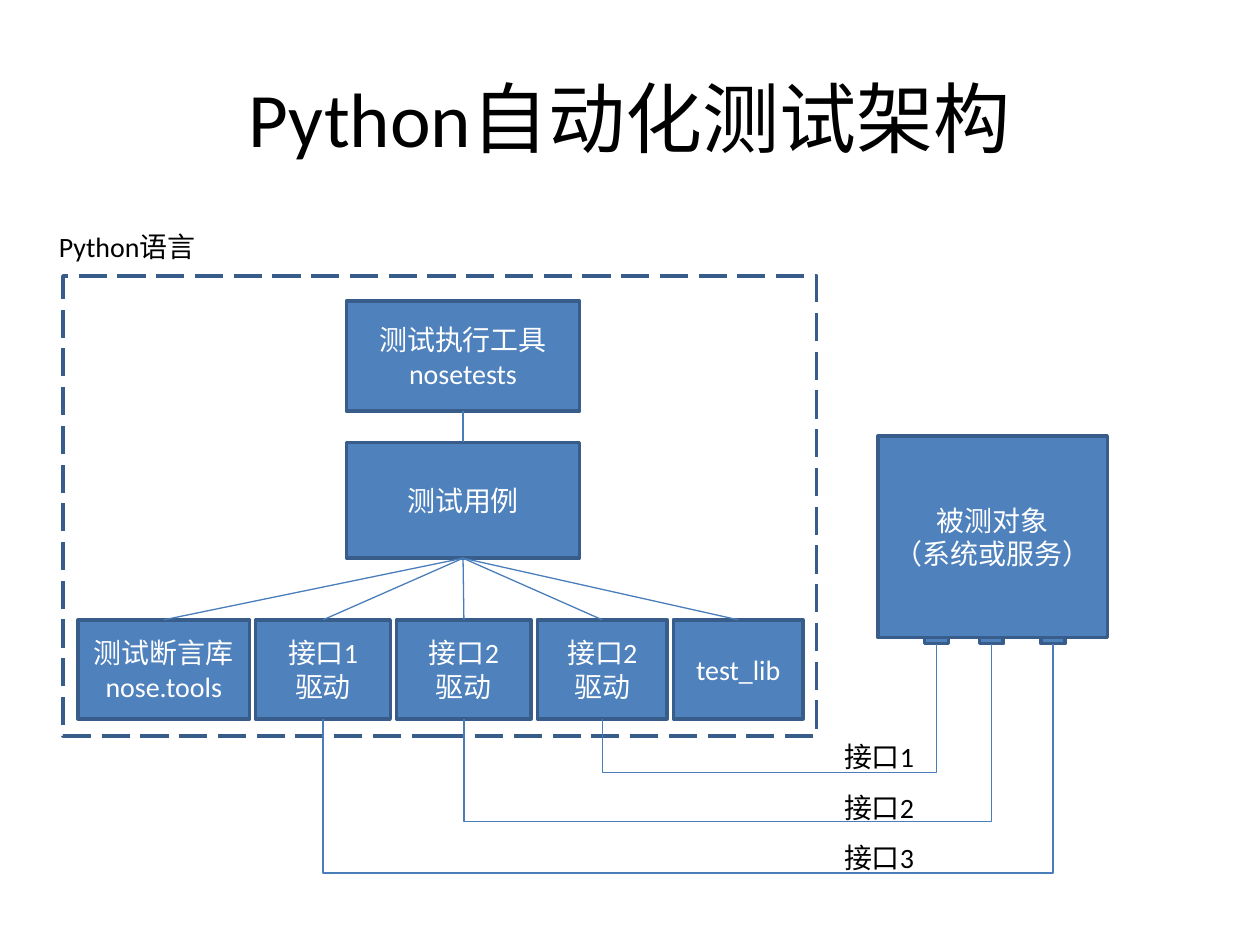
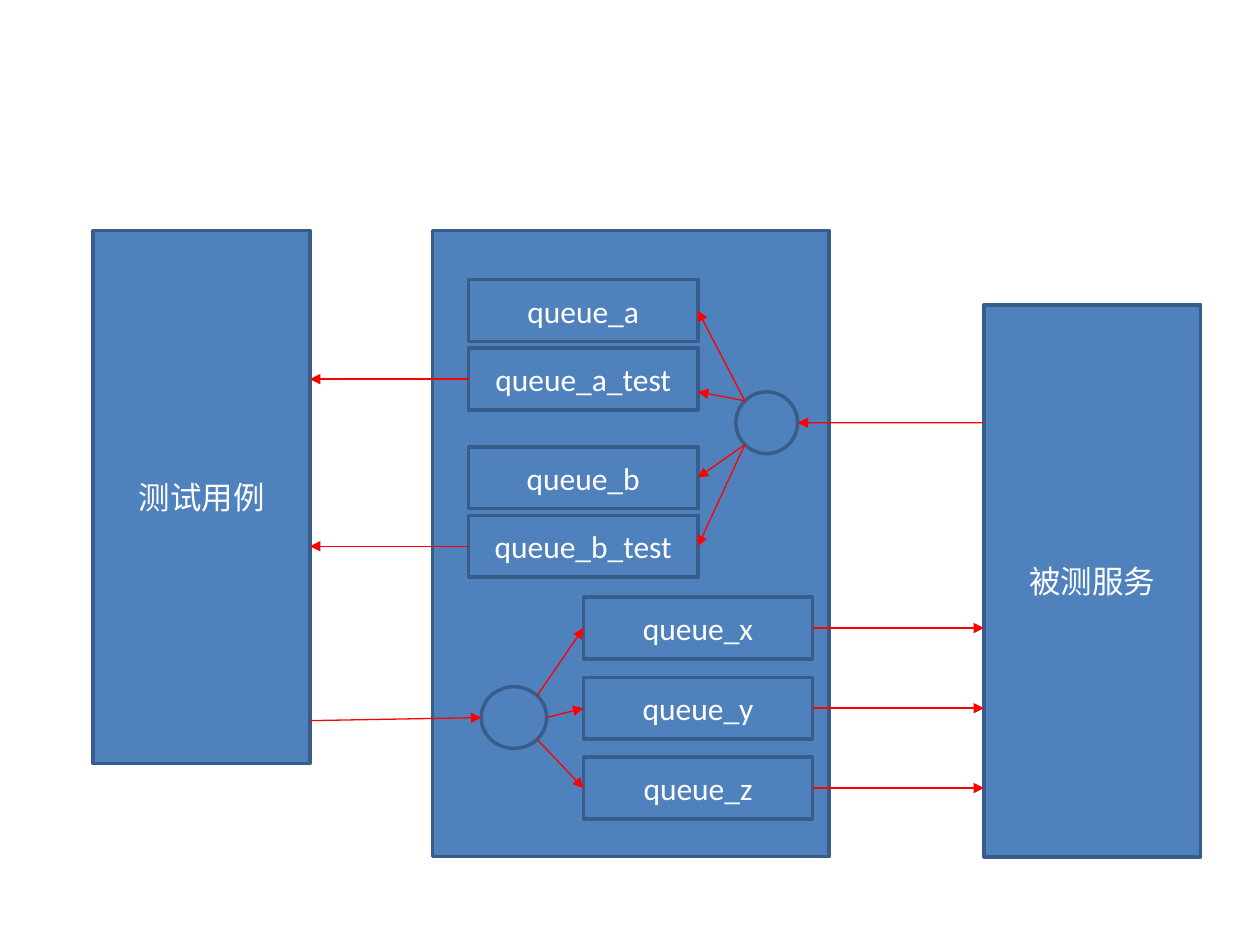
from lxml.etree import SubElement
from pptx import Presentation
from pptx.dml.color import RGBColor
from pptx.enum.dml import MSO_LINE
from pptx.enum.shapes import MSO_CONNECTOR as Connector, MSO_SHAPE as Preset
from pptx.enum.text import MSO_ANCHOR as Anchor, PP_ALIGN as Align
from pptx.oxml.ns import qn
from pptx.util import Pt

BLUE = RGBColor(0x4F, 0x81, 0xBD)
OUTLINE = RGBColor(0x38, 0x5D, 0x8A)
LINK = RGBColor(0x4A, 0x7E, 0xBB)
RED = RGBColor(0xFF, 0x00, 0x00)
WHITE = RGBColor(0xFF, 0xFF, 0xFF)
BLACK = RGBColor(0x00, 0x00, 0x00)
FONT = "Calibri"

# Connection sites, numbered as the preset shapes number them
TOP, LEFT, BOTTOM, RIGHT = range(4)
OVAL_UPPER_LEFT, OVAL_LEFT, OVAL_LOWER_LEFT = 1, 2, 3
OVAL_LOWER_RIGHT, OVAL_RIGHT, OVAL_UPPER_RIGHT = 5, 6, 7
DIAGONAL = 0.71
RECTANGLE_SITES = [(0, -1), (-1, 0), (0, 1), (1, 0)]
OVAL_SITES = [(0, -1), (-DIAGONAL, -DIAGONAL), (-1, 0), (-DIAGONAL, DIAGONAL),
              (0, 1), (DIAGONAL, DIAGONAL), (1, 0), (DIAGONAL, -DIAGONAL)]


def locate(end):
    """Return the position of an end: an (x, y) in points or a (shape, site)."""
    first, second = end
    if isinstance(first, (int, float)):
        return Pt(first), Pt(second)
    is_oval = first.auto_shape_type == Preset.OVAL
    across, down = (OVAL_SITES if is_oval else RECTANGLE_SITES)[second]
    return (int(first.left + first.width * (1 + across) / 2),
            int(first.top + first.height * (1 + down) / 2))


class Painter:
    def __init__(self, presentation):
        self.presentation = presentation
        self.slide = None

    def new_slide(self, text_size):
        blank = self.presentation.slide_layouts[6]
        self.slide = self.presentation.slides.add_slide(blank)
        self.text_size = text_size

    def set_text(self, shape, text, color, size=None, align=Align.LEFT,
                 spacing=None):
        frame = shape.text_frame
        frame.text = text
        for paragraph in frame.paragraphs:
            paragraph.alignment = align
            paragraph.line_spacing = spacing
            for run in paragraph.runs:
                run.font.name = FONT
                run.font.size = Pt(size or self.text_size)
                run.font.color.rgb = color

    def label(self, text, left, top, width, height, wrap=True,
              anchor=Anchor.TOP, **style):
        box = self.slide.shapes.add_textbox(Pt(left), Pt(top), Pt(width), Pt(height))
        box.text_frame.word_wrap = wrap
        box.text_frame.vertical_anchor = anchor
        self.set_text(box, text, BLACK, **style)

    def box(self, left, top, width, height, text="", preset=Preset.RECTANGLE,
            fill=BLUE):
        shape = self.slide.shapes.add_shape(
            preset, Pt(left), Pt(top), Pt(width), Pt(height))
        shape.shadow.inherit = False
        if fill is None:
            shape.fill.background()
        else:
            shape.fill.solid()
            shape.fill.fore_color.rgb = fill
        shape.line.color.rgb = OUTLINE
        shape.line.width = Pt(2)
        if text:
            shape.text_frame.vertical_anchor = Anchor.MIDDLE
            self.set_text(shape, text, WHITE, align=Align.CENTER)
        return shape

    def connector(self, kind, begin, end, start, finish, color):
        """Draw from begin to end, attached to start and finish if they are shapes."""
        line = self.slide.shapes.add_connector(kind, *begin, *end)
        line.line.color.rgb = color
        line.line.width = Pt(0.75)
        SubElement(line._element.spPr, qn("a:effectLst"))
        joints = line._element.nvCxnSpPr.cNvCxnSpPr
        for tag, (shape, site) in (("a:stCxn", start), ("a:endCxn", finish)):
            if not isinstance(shape, (int, float)):
                SubElement(joints, qn(tag), id=str(shape.shape_id), idx=str(site))
        return line

    def link(self, start, finish, color=LINK):
        return self.connector(Connector.STRAIGHT, locate(start), locate(finish),
                              start, finish, color)

    def arrow(self, start, finish):
        line = self.link(start, finish, RED)
        outline = line._element.spPr.find(qn("a:ln"))
        SubElement(outline, qn("a:tailEnd"), type="triangle")

    def cable(self, source, port, level):
        """Run from under source down to level, across, and up to the port."""
        start, finish = (source, BOTTOM), (port, BOTTOM)
        (x1, y1), (x2, y2) = locate(start), locate(finish)
        rise, reach = y1 - y2, x2 - x1
        middle_x, middle_y = (x1 + x2) // 2, (y1 + y2) // 2
        # The box is laid out on its side, then turned a quarter
        begin = middle_x + rise // 2, middle_y + reach // 2
        end = middle_x - rise // 2, middle_y - reach // 2
        line = self.connector(Connector.ELBOW, begin, end, start, finish, LINK)
        line.rotation = 90
        bend = round((y1 - Pt(level)) / rise * 100000)
        geometry = line._element.spPr.find(qn("a:prstGeom"))
        adjustments = geometry.find(qn("a:avLst"))
        if adjustments is None:
            adjustments = SubElement(geometry, qn("a:avLst"))
        SubElement(adjustments, qn("a:gd"), name="adj1", fmla=f"val {bend}")


def draw_architecture(painter):
    painter.new_slide(text_size=16)
    frame = painter.box(36, 157.7, 430.6, 262.8, fill=None)
    frame.line.dash_style = MSO_LINE.LONG_DASH
    painter.label("Python自动化测试架构", 36, 21.6, 648, 90, size=44,
                  anchor=Anchor.MIDDLE, align=Align.CENTER)
    painter.label("Python语言", 26.6, 127.4, 105.1, 26.6)

    runner = painter.box(198, 172, 133.2, 63, "测试执行工具\nnosetests")
    cases = painter.box(198, 252.8, 133.2, 66.2, "测试用例")
    painter.link((runner, BOTTOM), (cases, TOP))

    libraries = []
    left = 44.6
    for text, width in (("测试断言库\nnose.tools", 98), ("接口1\n驱动", 77),
                        ("接口2\n驱动", 77), ("接口2\n驱动", 74.2),
                        ("test_lib", 74.2)):
        libraries.append(painter.box(left, 354.2, width, 56.6, text))
        left += width + 3.5
    for library in libraries:
        painter.link((cases, BOTTOM), (library, TOP))

    ports = [painter.box(x, 336.2, 13.7, 31.7) for x in (528.3, 559.6, 594.9)]
    drivers = reversed(libraries[1:4])
    for driver, port, level in zip(drivers, ports, (441.4, 469.4, 499)):
        painter.cable(driver, port, level)
    painter.label("接口1\n接口2\n接口3", 475.2, 409.7, 58.3, 93.6,
                  wrap=False, spacing=1.5)
    painter.box(501.8, 249.1, 131, 115.2, "被测对象\n（系统或服务）")


def draw_queues(painter):
    painter.new_slide(text_size=18)
    painter.box(247, 131.8, 226.8, 357.8)
    service = painter.box(562.3, 174.2, 123.8, 315.4, "被测服务")
    cases = painter.box(53.3, 131.8, 123.8, 304.6, "测试用例")
    service_left = service.left.pt
    cases_right = cases.left.pt + cases.width.pt
    queue_size = 131, 35.3

    upper_hub = painter.box(420.5, 223.9, 35.3, 35.3, preset=Preset.OVAL)
    painter.arrow((service_left, 241.6), (upper_hub, OVAL_RIGHT))
    for index, (name, site) in enumerate((("queue_a", OVAL_UPPER_LEFT),
                                          ("queue_b", OVAL_LOWER_LEFT))):
        top = 159.8 + 95.5 * index
        queue = painter.box(267.8, top, *queue_size, name)
        test_queue = painter.box(267.8, top + 39.2, *queue_size, name + "_test")
        painter.arrow((upper_hub, site), (queue, RIGHT))
        # The first test queue is entered below its middle
        entry = (test_queue, RIGHT) if index else (398.8, 223.9)
        painter.arrow((upper_hub, site), entry)
        middle = locate((test_queue, LEFT))[1] / Pt(1)
        painter.arrow((test_queue, LEFT), (cases_right, middle))

    lower_hub = painter.box(275, 392.4, 37.4, 35.3, preset=Preset.OVAL)
    painter.arrow((cases_right, 411.8), (lower_hub, OVAL_LEFT))
    sites = OVAL_UPPER_RIGHT, OVAL_RIGHT, OVAL_LOWER_RIGHT
    for index, (letter, site) in enumerate(zip("xyz", sites)):
        queue = painter.box(333.4, 341.3 + 45.7 * index, *queue_size,
                            "queue_" + letter)
        painter.arrow((lower_hub, site), (queue, LEFT))
        middle = locate((queue, RIGHT))[1] / Pt(1)
        painter.arrow((queue, RIGHT), (service_left, middle))


def main():
    presentation = Presentation()
    presentation.slide_width, presentation.slide_height = Pt(720), Pt(540)
    painter = Painter(presentation)
    draw_architecture(painter)
    draw_queues(painter)
    presentation.save("out.pptx")


if __name__ == "__main__":
    main()
